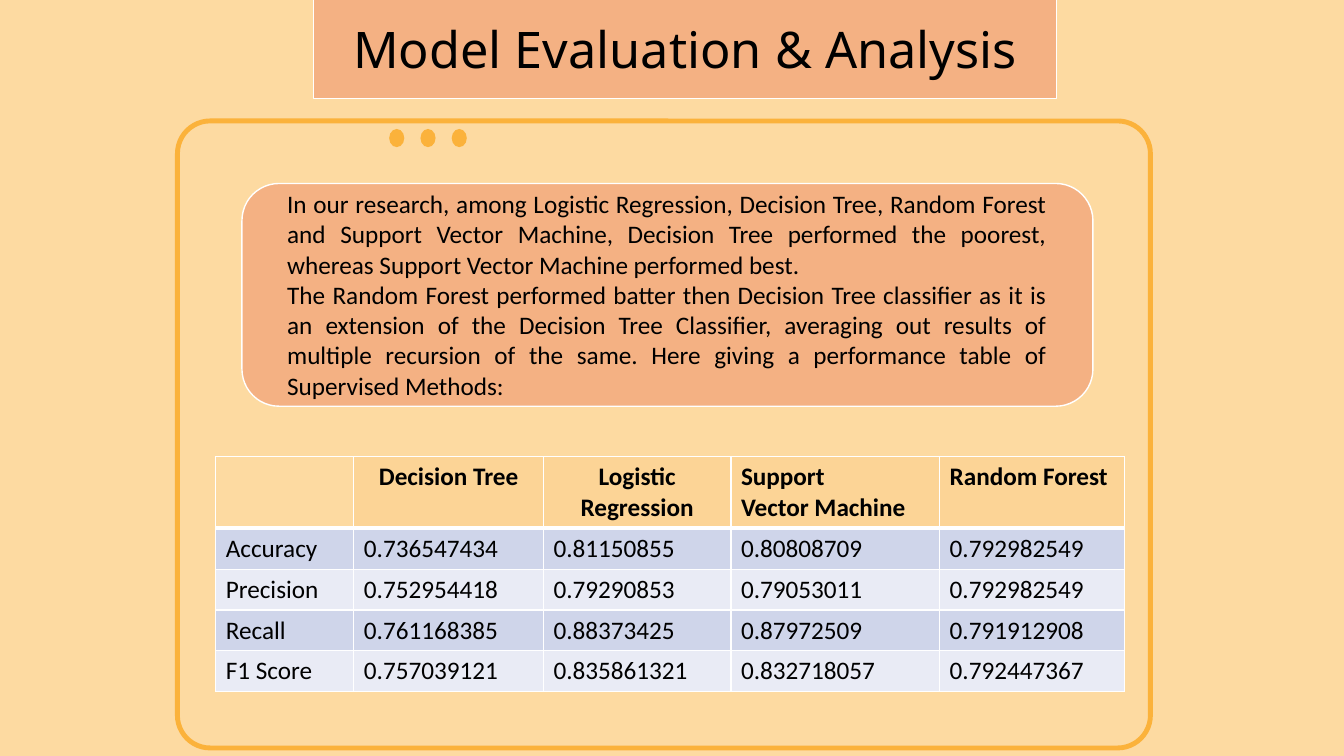
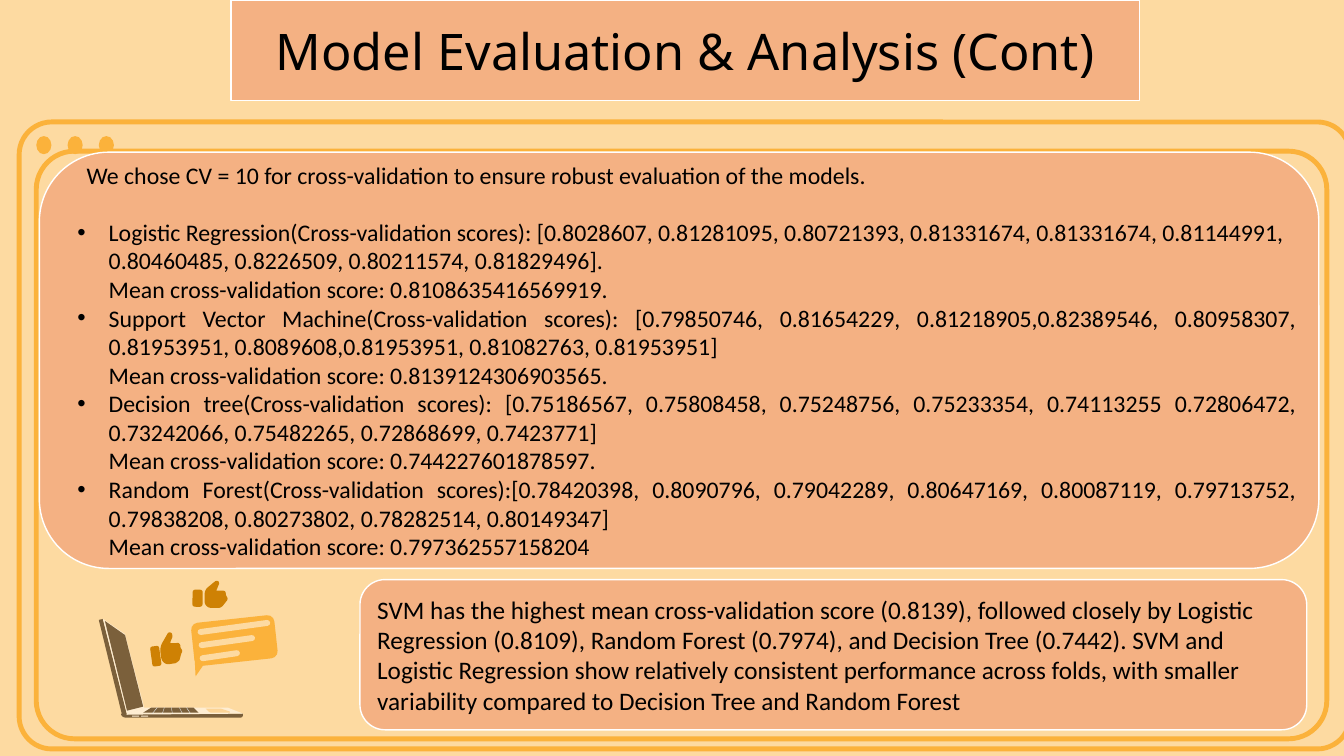
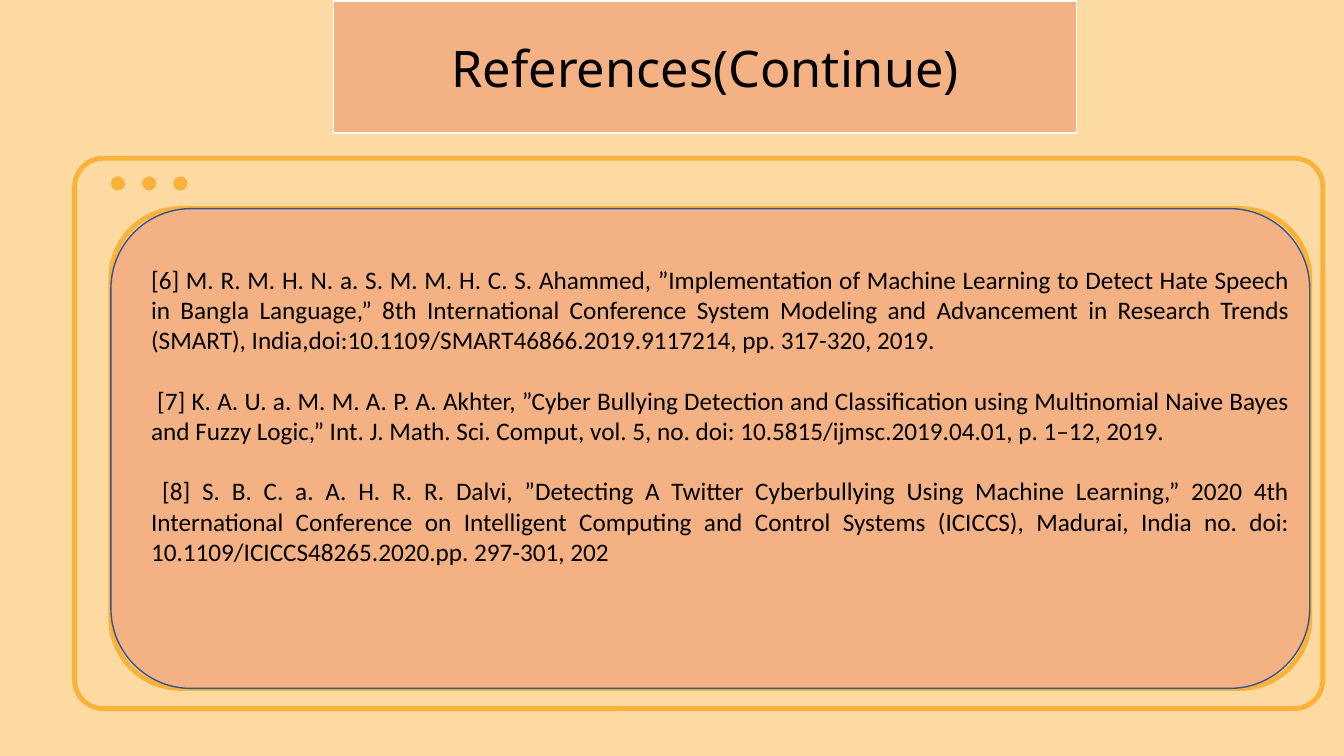
from dataclasses import dataclass
from typing import Optional

from lxml.etree import SubElement
from pptx import Presentation
from pptx.dml.color import RGBColor
from pptx.enum.shapes import MSO_CONNECTOR, MSO_SHAPE
from pptx.enum.text import MSO_ANCHOR, PP_ALIGN
from pptx.oxml.ns import qn
from pptx.util import Inches, Pt

COLORS = {
    "background": "FDDAA1", "accent": "FBB23B", "panel": "F4B183",
    "white": "FFFFFF", "black": "000000", "navy": "325491",
    "header": "FCD496", "band_dark": "CFD5EA", "band_light": "E9EBF5",
    "brown": "7B603B", "cream": "FEEDD2", "thumb": "CE8104", "vent": "EAEEF1",
}
BODY_FONT = "Calibri"
TITLE_FONT = "Noto Sans"
LEFT, CENTER, JUSTIFY = PP_ALIGN.LEFT, PP_ALIGN.CENTER, PP_ALIGN.JUSTIFY


@dataclass
class Box:
    left: float
    top: float
    width: float
    height: float

    def emu(self):
        return [Inches(v) for v in (self.left, self.top, self.width, self.height)]


@dataclass
class Para:
    text: str
    align: PP_ALIGN = LEFT
    size: float = 18
    margin: float = 0
    indent: float = 0
    bullet: bool = False
    after: float = 0
    bold: bool = False
    font: str = BODY_FONT


@dataclass
class Outline:
    color: str
    points: list


@dataclass
class Rounded:
    color: str
    box: Box
    adjust: float
    rotation: float = 0


@dataclass
class Stroke:
    color: str
    width: float
    start: tuple
    end: tuple


def rgb(name: str) -> RGBColor:
    return RGBColor.from_string(COLORS[name])


def write(tf, paras: list) -> None:
    for i, item in enumerate(paras):
        p = tf.paragraphs[0] if i == 0 else tf.add_paragraph()
        p.text = item.text
        p.alignment = item.align
        if item.after:
            p.space_after = Pt(item.after)
        pPr = p._p.get_or_add_pPr()
        if item.margin or item.indent:
            pPr.set("marL", str(Inches(item.margin)))
            pPr.set("indent", str(Inches(item.indent)))
        if item.bullet:
            SubElement(pPr, qn("a:buFont")).set("typeface", "Arial")
            SubElement(pPr, qn("a:buChar")).set("char", "•")
        for r in p.runs:
            r.font.name = item.font
            r.font.size = Pt(item.size)
            r.font.bold = item.bold
            r.font.color.rgb = rgb("black")


def paint(sp, fill: Optional[str], line: Optional[str] = None, width: float = 1) -> None:
    sp.shadow.inherit = False
    if fill:
        sp.fill.solid()
        sp.fill.fore_color.rgb = rgb(fill)
    else:
        sp.fill.background()
    if line:
        sp.line.color.rgb = rgb(line)
        sp.line.width = Pt(width)
    else:
        sp.line.fill.background()


def add_frame(s, box: Box, adjust: float = 0.052) -> None:
    sp = s.shapes.add_shape(MSO_SHAPE.ROUNDED_RECTANGLE, *box.emu())
    sp.adjustments[0] = adjust
    paint(sp, None, "accent", 3.5)


def add_dots(s, box: Box, step: float = 0.31) -> None:
    group = s.shapes.add_group_shape()
    for i in range(3):
        dot = Box(box.left + i * step, box.top, box.width, box.height)
        paint(group.shapes.add_shape(MSO_SHAPE.OVAL, *dot.emu()), "accent")


def add_panel(s, box: Box, paras: Optional[list] = None, line: str = "white",
              kind: MSO_SHAPE = MSO_SHAPE.FLOWCHART_ALTERNATE_PROCESS) -> None:
    sp = s.shapes.add_shape(kind, *box.emu())
    paint(sp, "panel", line)
    if paras:
        tf = sp.text_frame
        tf.word_wrap = True
        tf.vertical_anchor = MSO_ANCHOR.MIDDLE
        write(tf, paras)


def add_title(s, text: str, box: Box) -> None:
    title = Para(text, CENTER, 36, font=TITLE_FONT)
    add_panel(s, box, [title], kind=MSO_SHAPE.RECTANGLE)


def add_text(s, box: Box, paras: list) -> None:
    tf = s.shapes.add_textbox(*box.emu()).text_frame
    tf.word_wrap = True
    write(tf, paras)


def add_borders(cell, bottom: float) -> None:
    tcPr = cell._tc.get_or_add_tcPr()
    for side, width in (("L", 1), ("R", 1), ("T", 1), ("B", bottom)):
        ln = SubElement(tcPr, qn(f"a:ln{side}"), w=str(Pt(width)))
        SubElement(SubElement(ln, qn("a:solidFill")), qn("a:srgbClr")).set("val", COLORS["white"])


def add_score_table(s, box: Box, widths: list, header: list, rows: list) -> None:
    table = s.shapes.add_table(len(rows) + 1, len(widths), *box.emu()).table
    for col, width in zip(table.columns, widths):
        col.width = Inches(width)
    for i, values in enumerate([header] + rows):
        table.rows[i].height = Inches(0.4 if i else 0.7)
        for j, value in enumerate(values):
            cell = table.cell(i, j)
            add_borders(cell, 1 if i else 3)
            if not value:
                cell.fill.background()
                continue
            cell.fill.solid()
            band = "band_dark" if i % 2 else "band_light"
            cell.fill.fore_color.rgb = rgb(band if i else "header")
            align = CENTER if i == 0 and j in (1, 2) else LEFT
            write(cell.text_frame, [Para(t, align, bold=i == 0) for t in value.split("\n")])


def flatten(points: list, steps: int = 6) -> list:
    flat = []
    for point in points:
        if len(point) == 2:
            flat.append(point)
            continue
        x0, y0 = flat[-1]
        x1, y1, x2, y2, x3, y3 = point
        for k in range(1, steps + 1):
            t = k / steps
            a, b, c, d = (1 - t) ** 3, 3 * t * (1 - t) ** 2, 3 * t * t * (1 - t), t ** 3
            flat.append((a * x0 + b * x1 + c * x2 + d * x3, a * y0 + b * y1 + c * y2 + d * y3))
    return flat


def add_drawing(s, parts: list) -> None:
    shapes = s.shapes.add_group_shape().shapes
    for part in parts:
        if isinstance(part, Outline):
            points = [(Inches(x), Inches(y)) for x, y in flatten(part.points)]
            builder = shapes.build_freeform(*points[0])
            builder.add_line_segments(points[1:], close=True)
            paint(builder.convert_to_shape(), part.color)
        elif isinstance(part, Rounded):
            sp = shapes.add_shape(MSO_SHAPE.ROUNDED_RECTANGLE, *part.box.emu())
            sp.adjustments[0] = part.adjust
            sp.rotation = part.rotation
            paint(sp, part.color)
        else:
            ends = [Inches(v) for v in part.start + part.end]
            line = shapes.add_connector(MSO_CONNECTOR.STRAIGHT, *ends)
            line.line.color.rgb = rgb(part.color)
            line.line.width = Pt(part.width)
            line.line._get_or_add_ln().set("cap", "rnd")
            SubElement(line._element.spPr, qn("a:effectLst"))


LAPTOP = [
    Outline("brown", [(2.38, 7.12), (1.25, 7.12), (1.22, 7.12, 1.2, 7.1, 1.2, 7.08),
                      (2.41, 7.08), (2.41, 7.09), (2.41, 7.11, 2.4, 7.12, 2.38, 7.12)]),
    Outline("brown", [(1.26, 7.09), (1.21, 7.09), (0.98, 6.15), (1.02, 6.14)]),
    Outline("cream", [(1.02, 6.14), (1.24, 6.29), (1.43, 7.02), (1.26, 7.09)]),
    Outline("brown", [(1.04, 6.16), (1.24, 6.3), (1.42, 7.01), (1.26, 7.05)]),
    Outline("cream", [(2.41, 7.08), (2.26, 7.02), (1.43, 7.02), (1.25, 7.09)]),
    Outline("brown", [(1.42, 7.07), (1.97, 7.07), (1.92, 7.02), (1.5, 7.02)]),
    Outline("header", [(2.04, 7.03), (2.19, 7.03), (2.28, 7.06), (2.28, 7.07),
                       (2.09, 7.07), (2.07, 7.06)]),
    *[Stroke("vent", 0.25, (top, 7.02), (bottom, 7.08)) for top, bottom in
      ((1.56, 1.51), (1.63, 1.61), (1.7, 1.71), (1.78, 1.81), (1.85, 1.89))],
    *[Rounded("cream", Box(left, 7.1, 0.07, 0.01), 0.5) for left in (1.31, 1.4)],
]
SPEECH_BUBBLE = [
    Rounded("accent", Box(1.91, 6.14, 0.83, 0.43), 0.16, -6.2),
    Outline("accent", [(1.94, 6.71), (2.05, 6.55), (1.93, 6.52)]),
    Stroke("background", 4.25, (1.99, 6.27), (2.65, 6.18)),
    Stroke("background", 4.25, (2, 6.4), (2.5, 6.33)),
    Stroke("background", 4.25, (2.01, 6.53), (2.35, 6.48)),
]
UPPER_THUMB = [
    Rounded("thumb", Box(1.91, 5.85, 0.1, 0.17), 0.25, 0.8),
    Outline("thumb", [
        (2.21, 6.01), (2.25, 5.96), (2.26, 5.95, 2.26, 5.93, 2.25, 5.92), (2.24, 5.9),
        (2.24, 5.89), (2.24, 5.87, 2.23, 5.86, 2.21, 5.86), (2.15, 5.86),
        (2.15, 5.86, 2.14, 5.85, 2.15, 5.85), (2.17, 5.8),
        (2.18, 5.79, 2.17, 5.78, 2.17, 5.77), (2.16, 5.76, 2.14, 5.76, 2.13, 5.77),
        (2.07, 5.82), (2.04, 5.84, 2.03, 5.87, 2.03, 5.9), (2.03, 5.97),
        (2.03, 6, 2.06, 6.03, 2.09, 6.03), (2.17, 6.03),
        (2.19, 6.03, 2.2, 6.02, 2.21, 6.01)]),
]
LOWER_THUMB = [
    Rounded("thumb", Box(1.5, 6.41, 0.09, 0.2), 0.25, -7.9),
    Outline("thumb", [
        (1.78, 6.55), (1.8, 6.48), (1.81, 6.47, 1.81, 6.45, 1.8, 6.44), (1.79, 6.42),
        (1.79, 6.41), (1.79, 6.39, 1.77, 6.37, 1.75, 6.38), (1.7, 6.38),
        (1.69, 6.38, 1.69, 6.38, 1.69, 6.37), (1.71, 6.32),
        (1.71, 6.3, 1.71, 6.29, 1.7, 6.28), (1.69, 6.27, 1.67, 6.27, 1.66, 6.29),
        (1.62, 6.36), (1.6, 6.39, 1.59, 6.42, 1.59, 6.46), (1.6, 6.53),
        (1.61, 6.57, 1.64, 6.59, 1.67, 6.59), (1.74, 6.58),
        (1.76, 6.57, 1.77, 6.56, 1.78, 6.55)]),
]

INTRO = [
    "In our research, among Logistic Regression, Decision Tree, Random Forest and Support Vector Machine, Decision Tree performed the poorest, whereas Support Vector Machine performed best.",
    "The Random Forest performed batter then Decision Tree classifier as it is an extension of the Decision Tree Classifier, averaging out results of multiple recursion of the same. Here giving a performance table of Supervised Methods:",
]
HEADER = ["", "Decision Tree", "Logistic Regression", "Support\nVector Machine", "Random Forest"]
SCORES = [
    ["Accuracy", "0.736547434", "0.81150855", "0.80808709", "0.792982549"],
    ["Precision", "0.752954418", "0.79290853", "0.79053011", "0.792982549"],
    ["Recall", "0.761168385", "0.88373425", "0.87972509", "0.791912908"],
    ["F1 Score", "0.757039121", "0.835861321", "0.832718057", "0.792447367"],
]
FOLDS = [
    ("Logistic Regression(Cross-validation scores): [0.8028607, 0.81281095, 0.80721393, 0.81331674, 0.81331674, 0.81144991, 0.80460485, 0.8226509, 0.80211574, 0.81829496].",
     "0.8108635416569919.", LEFT),
    ("Support Vector Machine(Cross-validation scores): [0.79850746, 0.81654229, 0.81218905,0.82389546, 0.80958307, 0.81953951, 0.8089608,0.81953951, 0.81082763, 0.81953951]",
     "0.8139124306903565.", JUSTIFY),
    ("Decision tree(Cross-validation scores): [0.75186567, 0.75808458, 0.75248756, 0.75233354, 0.74113255 0.72806472, 0.73242066, 0.75482265, 0.72868699, 0.7423771]",
     "0.744227601878597.", JUSTIFY),
    ("Random Forest(Cross-validation scores):[0.78420398, 0.8090796, 0.79042289, 0.80647169, 0.80087119, 0.79713752, 0.79838208, 0.80273802, 0.78282514, 0.80149347]",
     "0.797362557158204", JUSTIFY),
]
SUMMARY = "SVM has the highest mean cross-validation score (0.8139), followed closely by Logistic Regression (0.8109), Random Forest (0.7974), and Decision Tree (0.7442). SVM and Logistic Regression show relatively consistent performance across folds, with smaller variability compared to Decision Tree and Random Forest"
REFERENCES = [
    ("[6] M. R. M. H. N. a. S. M. M. H. C. S. Ahammed, ”Implementation of Machine Learning to Detect Hate Speech in Bangla Language,” 8th International Conference System Modeling and Advancement in Research Trends (SMART), India,doi:10.1109/SMART46866.2019.9117214, pp. 317-320, 2019.", 0),
    ("[7] K. A. U. a. M. M. A. P. A. Akhter, ”Cyber Bullying Detection and Classification using Multinomial Naive Bayes and Fuzzy Logic,” Int. J. Math. Sci. Comput, vol. 5, no. doi: 10.5815/ijmsc.2019.04.01, p. 1–12, 2019.", 0.06),
    ("[8] S. B. C. a. A. H. R. R. Dalvi, ”Detecting A Twitter Cyberbullying Using Machine Learning,” 2020 4th International Conference on Intelligent Computing and Control Systems (ICICCS), Madurai, India no. doi: 10.1109/ICICCS48265.2020.pp. 297-301, 202", 0.11),
]


def new_slide(prs):
    s = prs.slides.add_slide(prs.slide_layouts[6])
    s.background.fill.solid()
    s.background.fill.fore_color.rgb = rgb("background")
    return s


def build_evaluation(prs) -> None:
    s = new_slide(prs)
    add_frame(s, Box(1.76, 1.2, 9.65, 6.22))
    add_dots(s, Box(3.86, 1.28, 0.15, 0.18))
    add_title(s, "Model Evaluation & Analysis", Box(3.11, -0.02, 7.37, 1))
    add_panel(s, Box(2.4, 1.82, 8.44, 2.21))
    add_score_table(s, Box(2.14, 4.53, 9.01, 2.3), [1.37, 1.88, 1.86, 2.07, 1.83], HEADER, SCORES)
    add_text(s, Box(2.75, 1.82, 7.73, 2.22), [Para(t, JUSTIFY) for t in INTRO])


def build_cross_validation(prs) -> None:
    s = new_slide(prs)
    add_frame(s, Box(0.36, 1.5, 12.8, 5.83), 0.065)
    add_frame(s, Box(0.19, 1.21, 13.2, 6.22))
    add_dots(s, Box(0.36, 1.35, 0.15, 0.18))
    add_title(s, "Model Evaluation & Analysis (Cont)", Box(2.29, 0, 9.01, 1))
    add_panel(s, Box(0.39, 1.51, 12.69, 4.13))
    add_panel(s, Box(3.57, 5.75, 9.39, 1.49), [Para(SUMMARY)])
    paras = [Para("We chose CV = 10 for cross-validation to ensure robust evaluation of the models.",
                  size=17, margin=0.09, after=20.5)]
    for scores, mean, align in FOLDS:
        paras.append(Para(scores, align, 17, 0.31, -0.31, bullet=True))
        paras.append(Para(f"Mean cross-validation score: {mean}", align, 17, 0.31))
    add_text(s, Box(0.67, 1.54, 12.29, 4.38), paras)
    for parts in (LAPTOP, SPEECH_BUBBLE, UPPER_THUMB, LOWER_THUMB):
        add_drawing(s, parts)


def build_references(prs) -> None:
    s = new_slide(prs)
    card = Box(1.1, 2.07, 11.89, 4.76)
    add_frame(s, card, 0.145)
    add_frame(s, Box(0.74, 1.57, 12.38, 5.46))
    add_dots(s, Box(1.1, 1.75, 0.14, 0.14))
    add_title(s, "References(Continue)", Box(3.31, 0.01, 7.37, 1.31))
    add_panel(s, card, line="navy")
    add_text(s, Box(1.4, 2.57, 11.49, 3.13),
             [Para(t, JUSTIFY, indent=indent, after=21.6) for t, indent in REFERENCES])


def main() -> None:
    prs = Presentation()
    prs.slide_width, prs.slide_height = Inches(13.33), Inches(7.5)
    build_evaluation(prs)
    build_cross_validation(prs)
    build_references(prs)
    prs.save("out.pptx")


if __name__ == "__main__":
    main()
